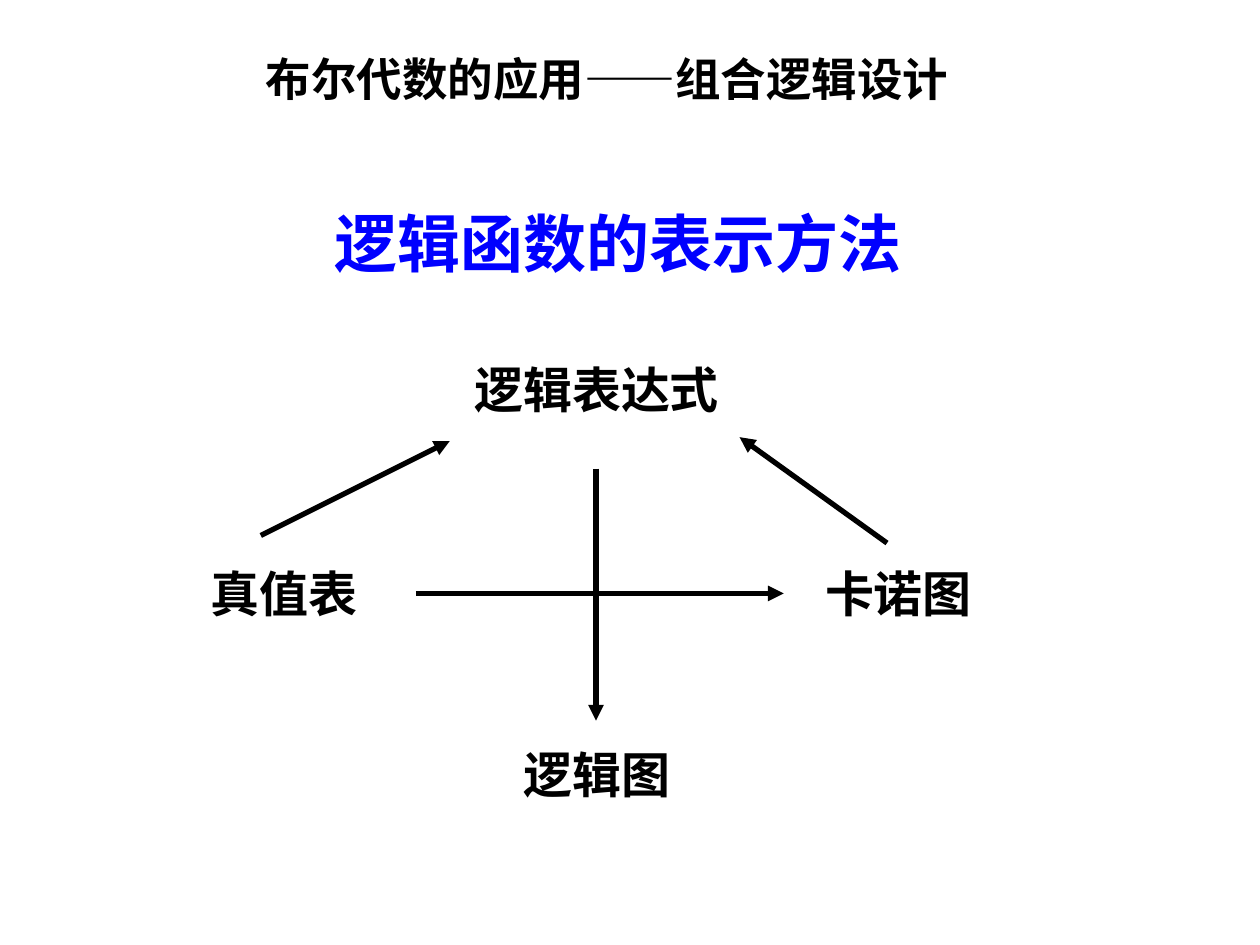
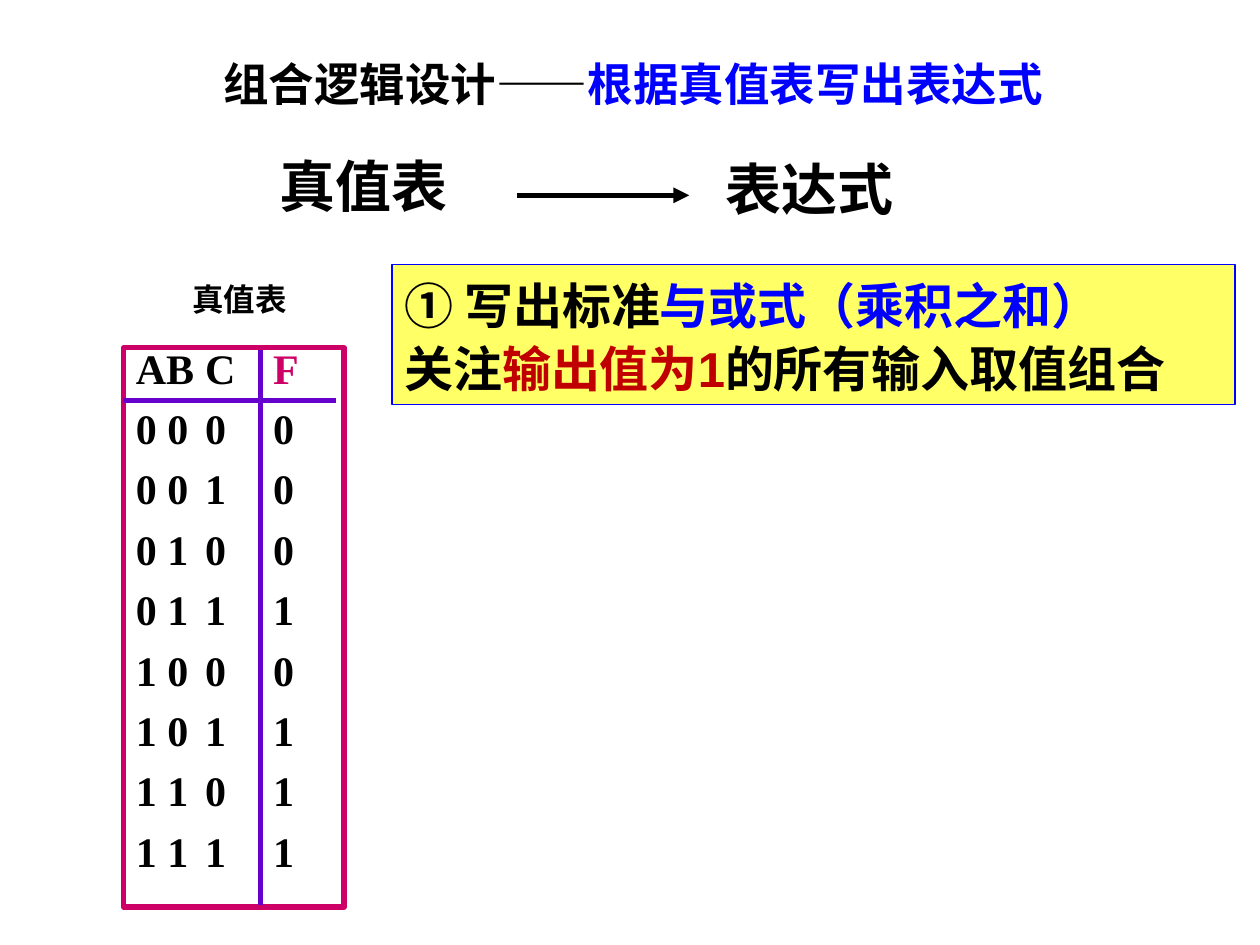
from dataclasses import dataclass
from itertools import product

from lxml import etree
from pptx import Presentation
from pptx import util as u
from pptx.dml.color import RGBColor
from pptx.enum import shapes, text
from pptx.oxml import ns

COLS, ROWS = 100, 75
WIDE, HIGH = u.Inches(10), u.Inches(7.5)
INK, BLUE, RED, ROSE, PLUM = "000000", "0000FF", "C00000", "CC0066", "6600CC"
WHITE, YELLOW = "FFFFFF", "FFFF66"
SANS, SERIF, HAN = "Arial", "Times New Roman", "Noto Sans CJK SC"
LEFT, MID = text.PP_ALIGN.LEFT, text.PP_ALIGN.CENTER
TABS = (5.5, 10.9)


@dataclass(frozen=True)
class Run:
    words: str
    hue: str = INK
    font: str = SANS


@dataclass(frozen=True)
class Box:
    left: float
    top: float
    width: float
    height: float
    lines: tuple[tuple[Run, ...], ...]
    size: float = 28
    align: text.PP_ALIGN = LEFT
    fill: str = ""
    edge: str = ""
    weight: float = 1
    pitch: float | u.Length = 1.0
    gap: float = 0
    tabs: tuple[float, ...] = ()
    anchor: text.MSO_ANCHOR = text.MSO_ANCHOR.MIDDLE


@dataclass(frozen=True)
class Line:
    x: float
    y: float
    to_x: float
    to_y: float
    hue: str = INK
    arrow: bool = True


def paint(code: str) -> RGBColor:
    return RGBColor.from_string(code)


def col(n: float) -> int:
    return round(WIDE * n / COLS)


def row(n: float) -> int:
    return round(HIGH * n / ROWS)


def add_tag(root, name: str, **attrs: str):
    return etree.SubElement(root, ns.qn(name), attrs)


def add_run(para, run: Run, size: float) -> None:
    part = para.add_run()
    part.text = run.words
    font = part.font
    font.name, font.size, font.bold = run.font, u.Pt(size), True
    font.color.rgb = paint(run.hue)
    add_tag(font._element, "a:ea", typeface=HAN)


def draw_box(slide, box: Box) -> None:
    place = col(box.left), row(box.top), col(box.width), row(box.height)
    if box.fill:
        shape = slide.shapes.add_shape(shapes.MSO_SHAPE.RECTANGLE, *place)
        shape.shadow.inherit = False
        shape.fill.solid()
        shape.fill.fore_color.rgb = paint(box.fill)
        shape.line.color.rgb = paint(box.edge)
        shape.line.width = u.Pt(box.weight)
    else:
        shape = slide.shapes.add_textbox(*place)
    frame = shape.text_frame
    frame.word_wrap = True
    frame.vertical_anchor = box.anchor
    for i, runs in enumerate(box.lines):
        para = frame.add_paragraph() if i else frame.paragraphs[0]
        para.alignment = box.align
        para.line_spacing = box.pitch
        para.space_before = u.Pt(box.gap if i else 0)
        if box.tabs:
            stops = add_tag(para._p.get_or_add_pPr(), "a:tabLst")
            for stop in box.tabs:
                add_tag(stops, "a:tab", pos=str(col(stop)), algn="l")
        for run in runs:
            add_run(para, run, box.size)


def draw_line(slide, line: Line) -> None:
    link = slide.shapes.add_connector(
        shapes.MSO_CONNECTOR.STRAIGHT,
        col(line.x), row(line.y), col(line.to_x), row(line.to_y))
    link.line.color.rgb = paint(line.hue)
    link.line.width = u.Pt(3)
    if line.arrow:
        add_tag(link.line._get_or_add_ln(), "a:tailEnd", type="triangle")
    add_tag(link._element.spPr, "a:effectLst")


def draw_slide(deck, parts: list[Box | Line]) -> None:
    slide = deck.slides.add_slide(deck.slide_layouts[6])
    for part in parts:
        if isinstance(part, Box):
            draw_box(slide, part)
        else:
            draw_line(slide, part)


def head(left: float, top: float, width: float, *runs: Run,
         align: text.PP_ALIGN = LEFT) -> Box:
    return Box(left, top, width, 5.3, (runs,), 26, align)


def label(left: float, top: float, width: float, words: str,
          size: float = 28, font: str = SANS, hue: str = INK,
          align: text.PP_ALIGN = LEFT) -> Box:
    return Box(left, top, width, size / 5, ((Run(words, hue, font),),), size, align)


def ways() -> list[Box | Line]:
    return [
        head(20.1, 3.6, 59.8, Run("布尔代数的应用——组合逻辑设计")),
        label(18.8, 15.6, 60.5, "逻辑函数的表示方法", 36, HAN, BLUE, MID),
        label(33.6, 28.1, 27.5, "逻辑表达式", align=MID),
        label(40.6, 58.6, 20, "逻辑图"),
        label(15.7, 44.3, 19.4, "真值表"),
        label(64.5, 44.3, 19, "卡诺图"),
        Line(33, 47.1, 62.2, 47.1),
        Line(47.3, 37.2, 47.3, 57.2),
        Line(20.7, 42.5, 35.7, 35),
        Line(70.4, 43.1, 58.7, 34.7),
    ]


def truth() -> Box:
    names = (Run("AB\tC\t", font=SERIF), Run("F", ROSE, SERIF))
    cases = tuple((Run(f"{a} {b}\t{c}\t{int(a + b + c > 1 and (a & b | c))}",
                       font=SERIF),)
                  for a, b, c in product((0, 1), repeat=3))
    return Box(9.8, 27.6, 17.5, 44.4, (names, *cases), 24, fill=WHITE,
               edge=ROSE, weight=3, pitch=0.75, gap=12.9, tabs=TABS,
               anchor=text.MSO_ANCHOR.TOP)


def steps() -> list[Box | Line]:
    notes = (
        (Run("① ", font=HAN), Run("写出标准", font=SERIF),
         Run("与或式（乘积之和）", BLUE, SERIF)),
        (Run("关注"), Run("输出值为1", RED), Run("的所有输入取值组合")),
    )
    return [
        head(0.5, 4, 99.5, Run("组合逻辑设计——"),
             Run("根据真值表写出表达式", BLUE), align=MID),
        label(21.2, 11.5, 22, "真值表", 32, SERIF),
        label(56.6, 11.7, 22.6, "表达式", 32, SERIF),
        Line(41, 15.5, 54.7, 15.5),
        Box(31.1, 21, 66.9, 11.1, notes, fill=YELLOW, edge=BLUE,
            pitch=u.Pt(36)),
        truth(),
        label(11.5, 21.9, 15, "真值表", 18, SERIF, align=MID),
        Line(20.65, 27.8, 20.65, 71.8, PLUM, False),
        Line(9.8, 31.8, 26.7, 31.8, PLUM, False),
    ]


def main() -> None:
    deck = Presentation()
    deck.slide_width, deck.slide_height = WIDE, HIGH
    for parts in (ways(), steps()):
        draw_slide(deck, parts)
    deck.save("out.pptx")


if __name__ == "__main__":
    main()
